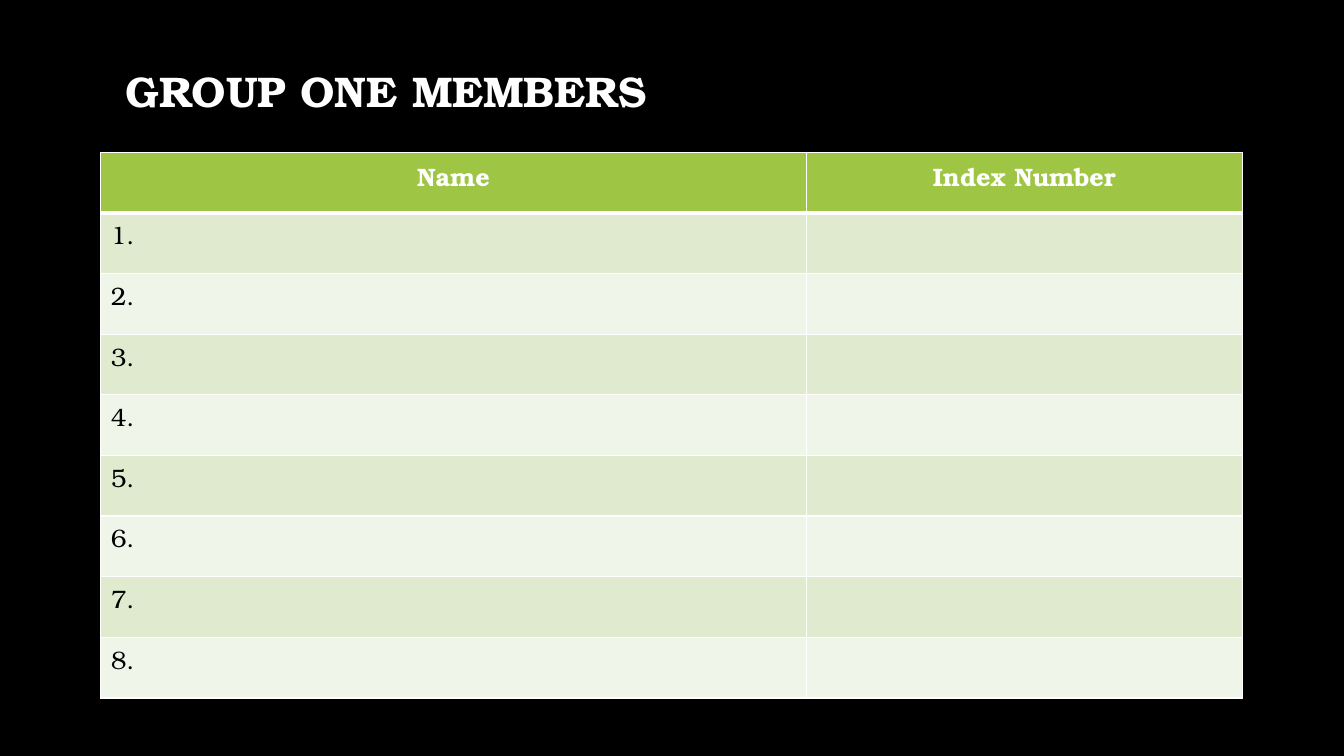
from dataclasses import dataclass

from lxml.etree import SubElement
from pptx import Presentation
from pptx.dml.color import RGBColor
from pptx.enum.text import MSO_ANCHOR as Anchor, PP_ALIGN as Align
from pptx.oxml.ns import qn
from pptx.slide import Slide
from pptx.table import _Cell as Cell
from pptx.text.text import TextFrame
from pptx.util import Emu, Pt

FONT = "TeX Gyre Bonum"
BLACK, WHITE, GREEN = "000000", "FFFFFF", "9EC544"
BANDS = ("DFEACF", "F0F5E9")
HEADINGS = ("Name", "Index Number")
COLUMN_WIDTHS = (672, 415)
MEMBER_COUNT = 8
THIN, THICK = 1, 3


@dataclass(frozen=True)
class Box:
    left: int
    top: int
    width: int
    height: int

    def emu(self) -> tuple[Emu, Emu, Emu, Emu]:
        return px(self.left), px(self.top), px(self.width), px(self.height)


@dataclass(frozen=True)
class MemberRow:
    texts: tuple[str, str]
    fill: str
    color: str = BLACK
    bold: bool = False
    align: Align = Align.LEFT
    top_line: int = THIN
    bottom_line: int = THIN


TITLE_BOX = Box(96, 67, 544, 44)
TABLE_BOX = Box(96, 145, sum(COLUMN_WIDTHS), 520)


def px(length: int) -> Emu:
    return Emu(length * 9525)


def rgb(color: str) -> RGBColor:
    return RGBColor.from_string(color)


def write(frame: TextFrame, text: str, *, size: float, color: str, bold: bool,
          align: Align, line_spacing: float = 1.0) -> None:
    para = frame.paragraphs[0]
    para.alignment = align
    para.line_spacing = line_spacing
    span = para.add_run()
    span.text = text
    span.font.name = FONT
    span.font.size = Pt(size)
    span.font.bold = bold
    span.font.color.rgb = rgb(color)


def set_borders(cell: Cell, top: int, bottom: int) -> None:
    properties = cell._tc.get_or_add_tcPr()
    for side, width in (("L", THIN), ("R", THIN), ("T", top), ("B", bottom)):
        line = SubElement(properties, qn(f"a:ln{side}"), w=str(Pt(width)))
        solid = SubElement(line, qn("a:solidFill"))
        SubElement(solid, qn("a:srgbClr"), val=WHITE)


def add_title(slide: Slide) -> None:
    title = slide.shapes.title
    title.left, title.top, title.width, title.height = TITLE_BOX.emu()
    frame = title.text_frame
    frame.word_wrap = True
    frame.vertical_anchor = Anchor.MIDDLE
    write(frame, "GROUP ONE MEMBERS", size=30.6, color=WHITE, bold=True,
          align=Align.CENTER, line_spacing=0.9)


def member_rows() -> list[MemberRow]:
    header = MemberRow(HEADINGS, GREEN, WHITE, True, Align.CENTER, bottom_line=THICK)
    members = [
        MemberRow((f"{index + 1}.", ""), BANDS[index % 2],
                  top_line=THIN if index else THICK)
        for index in range(MEMBER_COUNT)
    ]
    return [header, *members]


def add_member_table(slide: Slide) -> None:
    rows = member_rows()
    table = slide.shapes.add_table(len(rows), len(HEADINGS), *TABLE_BOX.emu()).table
    for column, width in zip(table.columns, COLUMN_WIDTHS):
        column.width = px(width)
    for table_row, row in zip(table.rows, rows):
        for cell, text in zip(table_row.cells, row.texts):
            set_borders(cell, row.top_line, row.bottom_line)
            cell.fill.solid()
            cell.fill.fore_color.rgb = rgb(row.fill)
            if text:
                write(cell.text_frame, text, size=18, color=row.color,
                      bold=row.bold, align=row.align)


def main() -> None:
    deck = Presentation()
    deck.slide_width, deck.slide_height = px(1280), px(720)
    page = deck.slides.add_slide(deck.slide_layouts[5])
    page.background.fill.solid()
    page.background.fill.fore_color.rgb = rgb(BLACK)
    add_title(page)
    add_member_table(page)
    deck.save("out.pptx")


if __name__ == "__main__":
    main()
